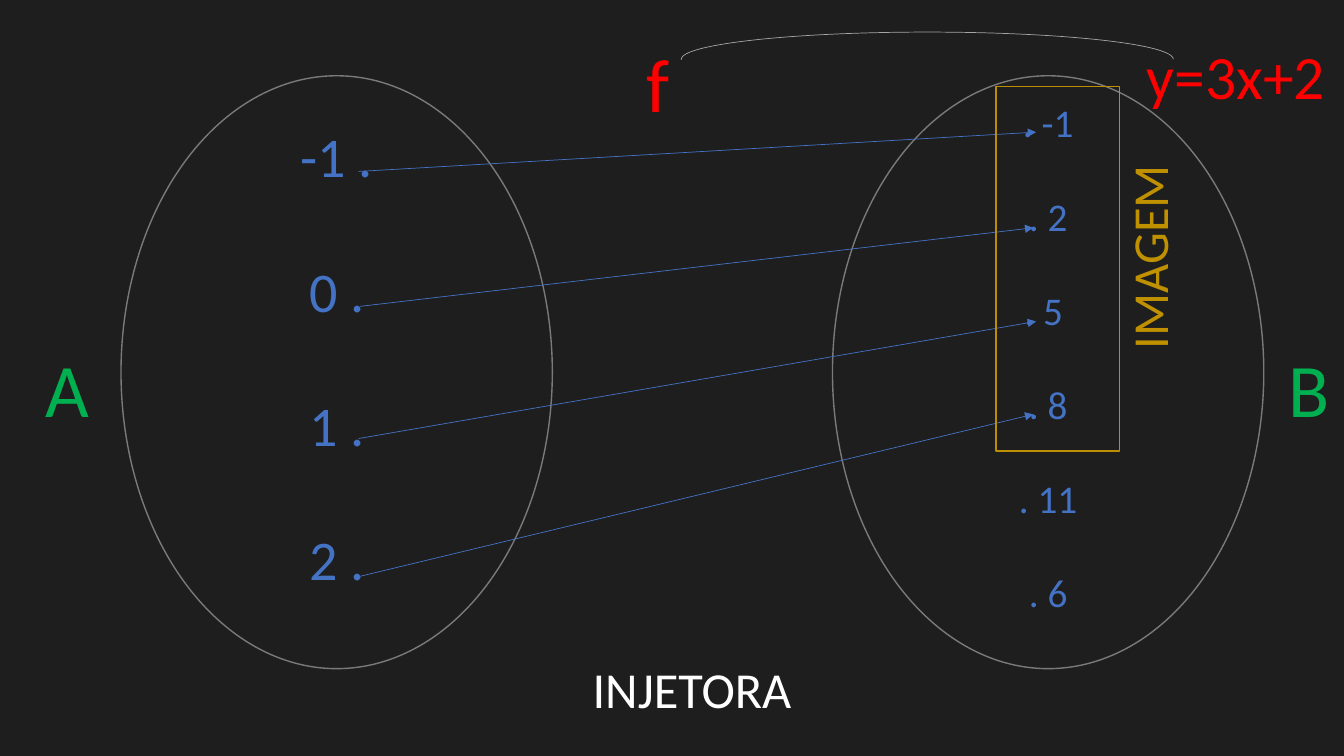
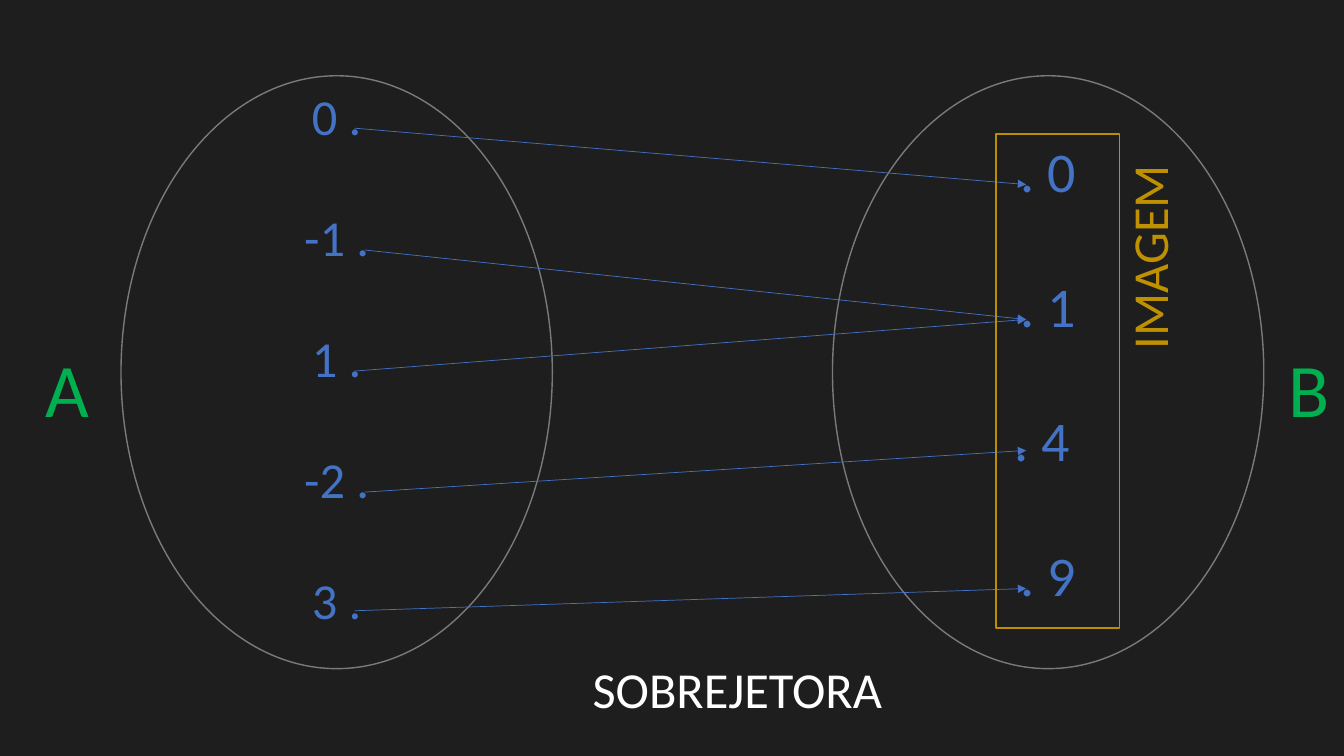
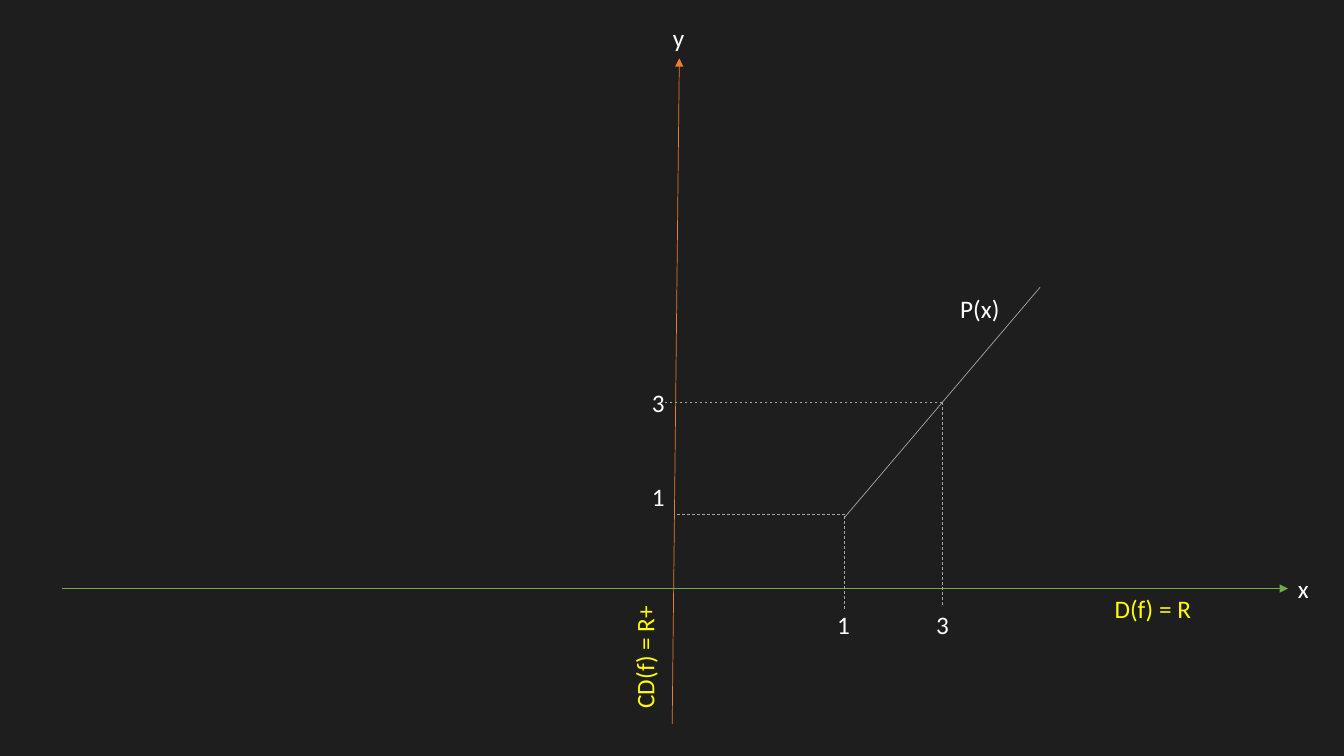
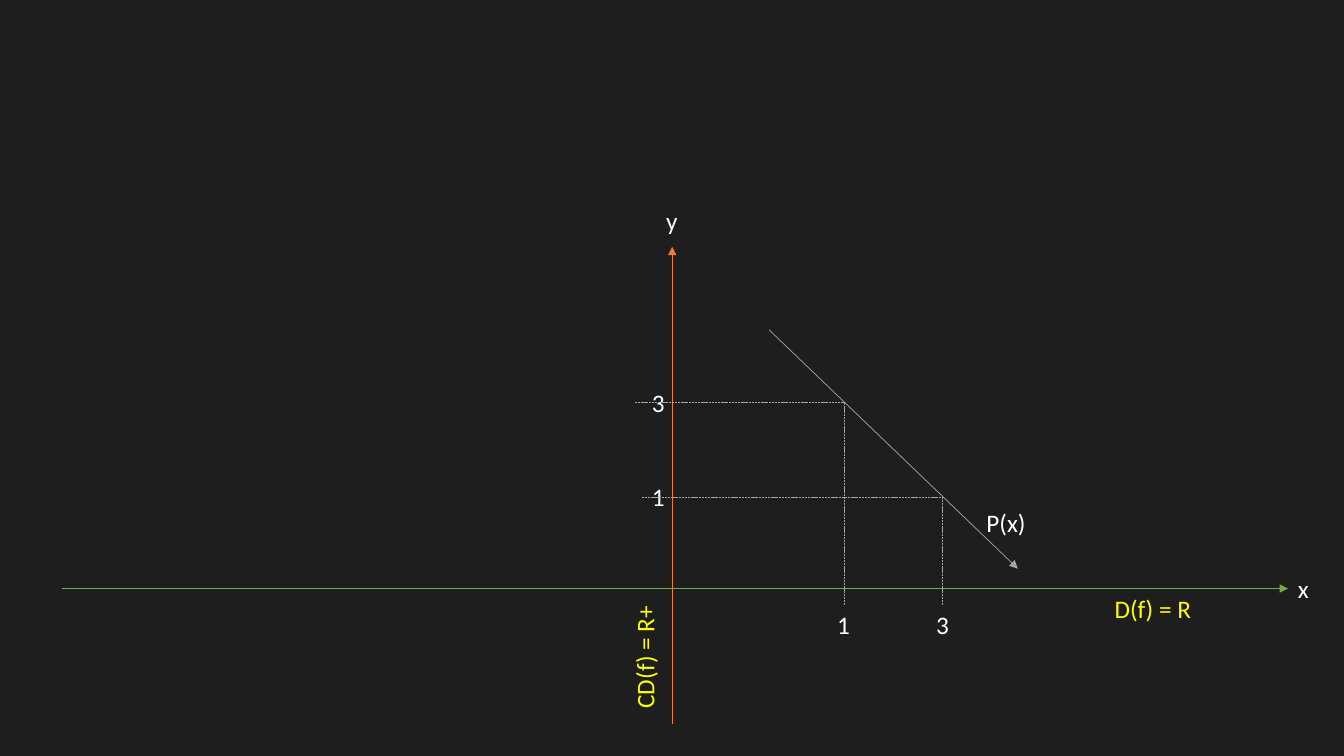
"""Build four slides on functions: two mapping diagrams and two graphs."""
from pptx import Presentation
from pptx.dml.color import RGBColor
from pptx.enum import dml, shapes, text
from pptx.oxml import ns, xmlchemy
from pptx.util import Cm, Pt

hue = RGBColor.from_string
FONT = "Calibri"
BLUE, GREEN, RED, GOLD = "4472C4", "00B050", "FF0000", "BF9000"
WHITE, YELLOW, GREY = "FFFFFF", "FFFF00", "A5A5A5"
DASH = dml.MSO_LINE.DASH
FINE = dml.MSO_LINE.SQUARE_DOT


def label(page, words, x, y, w, h, size, tint, turn=0, box=None):
    """Place one line of text, in a new text box or in the box given."""
    box = box or page.shapes.add_textbox(0, 0, 0, 0)
    box.left, box.top, box.width, box.height = Cm(x), Cm(y), Cm(w), Cm(h)
    box.rotation = turn
    frame = box.text_frame
    frame.text = words
    frame.word_wrap = False
    frame.auto_size = text.MSO_AUTO_SIZE.NONE
    frame.vertical_anchor = text.MSO_ANCHOR.TOP
    line = frame.paragraphs[0]
    line.alignment = text.PP_ALIGN.LEFT
    font = line.runs[0].font
    font.name, font.size, font.color.rgb = FONT, Pt(size), hue(tint)


def draw(page, x1, y1, x2, y2, tint, arrow=False, dash=None):
    """Draw a thin straight line, with an arrowhead at its end if asked."""
    line = page.shapes.add_connector(
        shapes.MSO_CONNECTOR.STRAIGHT, Cm(x1), Cm(y1), Cm(x2), Cm(y2))
    line.line.color.rgb = hue(tint)
    line.line.width = Pt(0.5)
    if dash:
        line.line.dash_style = dash
    props = line._element.spPr
    if arrow:
        head = xmlchemy.OxmlElement("a:tailEnd")
        head.set("type", "triangle")
        props.find(ns.qn("a:ln")).append(head)
    props.append(xmlchemy.OxmlElement("a:effectLst"))


deck = Presentation()
deck.slide_width, deck.slide_height = Cm(33.87), Cm(19.05)
back = deck.slide_master.background.fill
back.solid()
back.fore_color.rgb = hue("1E1E1E")

maps = [
    dict(
        title="INJETORA", width=5.59, frame=(2.18, 9.19),
        sets=[(3.05, 40, 0.89, ["-1 .", "0 .", "1 .", "2 ."]),
              (20.98, 28, 0.89, [". -1", ". 2", ". 5 ", ". 8", ". 11", ". 6"])],
        arrows=[(9.04, 4.32, 26.11, 3.33), (9.07, 7.72, 26.04, 5.74),
                (9.04, 11.05, 26.11, 8.1), (9.04, 14.53, 26.04, 10.44)]),
    dict(
        title="SOBREJETORA", width=7.87, frame=(3.38, 12.45),
        sets=[(3.05, 36, 0.89, ["0 .", "-1 .", "1 .", "-2 .", "3 ."]),
              (20.98, 40, 0.13, [". 0", ". 1", ". 4 ", ". 9"])],
        arrows=[(8.94, 3.23, 25.86, 4.65), (9.19, 6.3, 25.86, 8.05),
                (8.94, 9.35, 25.86, 8.05), (9.19, 12.4, 25.86, 11.35),
                (8.94, 15.39, 25.86, 14.83)]),
]
pages = []
for item in maps:
    page = deck.slides.add_slide(deck.slide_layouts[5])
    pages.append(page)
    label(page, item["title"], 14.68, 16.46, item["width"], 1.8, 36, WHITE,
          box=page.shapes.title)
    for x, size, foot, terms in item["sets"]:
        oval = page.shapes.add_shape(
            shapes.MSO_SHAPE.OVAL, Cm(x), Cm(1.91), Cm(10.87), Cm(14.94))
        oval.shadow.inherit = False
        oval.fill.background()
        oval.line.color.rgb = hue("7A7A7A")
        oval.line.width = Pt(1)
        frame = oval.text_frame
        frame.text = "\n".join(terms)
        frame.vertical_anchor = text.MSO_ANCHOR.MIDDLE
        frame.margin_bottom = Cm(foot)
        for i, term in enumerate(frame.paragraphs):
            term.alignment = text.PP_ALIGN.CENTER
            term.space_before = Pt(1.2 * size if i else 0)
            font = term.runs[0].font
            font.name, font.size, font.color.rgb = FONT, Pt(size), hue(BLUE)
    label(page, "A", 0.89, 8.48, 1.63, 2.57, 54, GREEN)
    label(page, "B", 32.23, 8.48, 1.55, 2.57, 54, GREEN)
    for ends in item["arrows"]:
        draw(page, *ends, BLUE, arrow=True)
    top, tall = item["frame"]
    rect = page.shapes.add_shape(
        shapes.MSO_SHAPE.RECTANGLE, Cm(25.1), Cm(top), Cm(3.12), Cm(tall))
    rect.shadow.inherit = False
    rect.fill.background()
    rect.line.color.rgb = hue("BD8E00")
    rect.line.width = Pt(1)
    label(page, "IMAGEM", 26.34, 5.54, 5.21, 1.8, 36, GOLD, 270)

first = pages[0]
label(first, "y=3x+2", 28.65, 0.84, 5.03, 2.13, 44, RED)
label(first, "f", 16.05, 0.81, 1.09, 2.57, 54, RED)
arc = first.shapes.add_shape(
    shapes.MSO_SHAPE.ARC, Cm(17.17), Cm(0.81), Cm(12.4), Cm(1.37))
arc.adjustments[0] = 107.93
arc.adjustments[1] = 0
arc.shadow.inherit = False
arc.fill.background()
arc.line.color.rgb = hue(GREY)
arc.line.width = Pt(0.5)

graphs = [
    dict(
        axis=(16.94, 18.24, 17.12, 1.47), y=(16.71, 0.43), name=(23.95, 7.26),
        curve=(21.29, 13.03, 26.21, 7.24), arrow=False, dash=DASH,
        guides=[(21.29, 15.34, 21.29, 12.95), (21.29, 12.95, 17.02, 12.95),
                (23.75, 15.24, 23.75, 10.13), (23.75, 10.13, 16.76, 10.13)]),
    dict(
        axis=(16.94, 18.24, 16.94, 6.22), y=(16.54, 5.05), name=(24.61, 12.65),
        curve=(19.38, 8.31, 25.65, 14.33), arrow=True, dash=FINE,
        guides=[(21.29, 15.24, 21.29, 10.13), (16, 10.13, 21.29, 10.13),
                (23.75, 15.24, 23.75, 12.52), (16.18, 12.52, 23.75, 12.52)]),
]
for item in graphs:
    page = deck.slides.add_slide(deck.slide_layouts[6])
    draw(page, *item["axis"], "ED7D31", arrow=True)
    draw(page, 1.55, 14.83, 32.46, 14.83, "70AD47", arrow=True)
    for words, x, y, w, tint, turn in [
            ("y", *item["y"], 0.81, WHITE, 0),
            ("x", 32.46, 14.33, 0.81, WHITE, 0),
            ("P(x)", *item["name"], 1.5, WHITE, 0),
            ("D(f) = R", 27.84, 14.83, 2.46, YELLOW, 0),
            ("CD(f) = R+", 14.68, 16.03, 3.12, YELLOW, 270),
            ("1", 20.85, 15.24, 0.84, WHITE, 0),
            ("3", 23.34, 15.24, 0.84, WHITE, 0),
            ("1", 16.18, 12.01, 0.84, WHITE, 0),
            ("3", 16.18, 9.63, 0.84, WHITE, 0)]:
        label(page, words, x, y, w, 1.02, 18, tint, turn)
    for ends in item["guides"]:
        draw(page, *ends, GREY, dash=item["dash"])
    draw(page, *item["curve"], GREY, arrow=item["arrow"])

deck.save("out.pptx")
